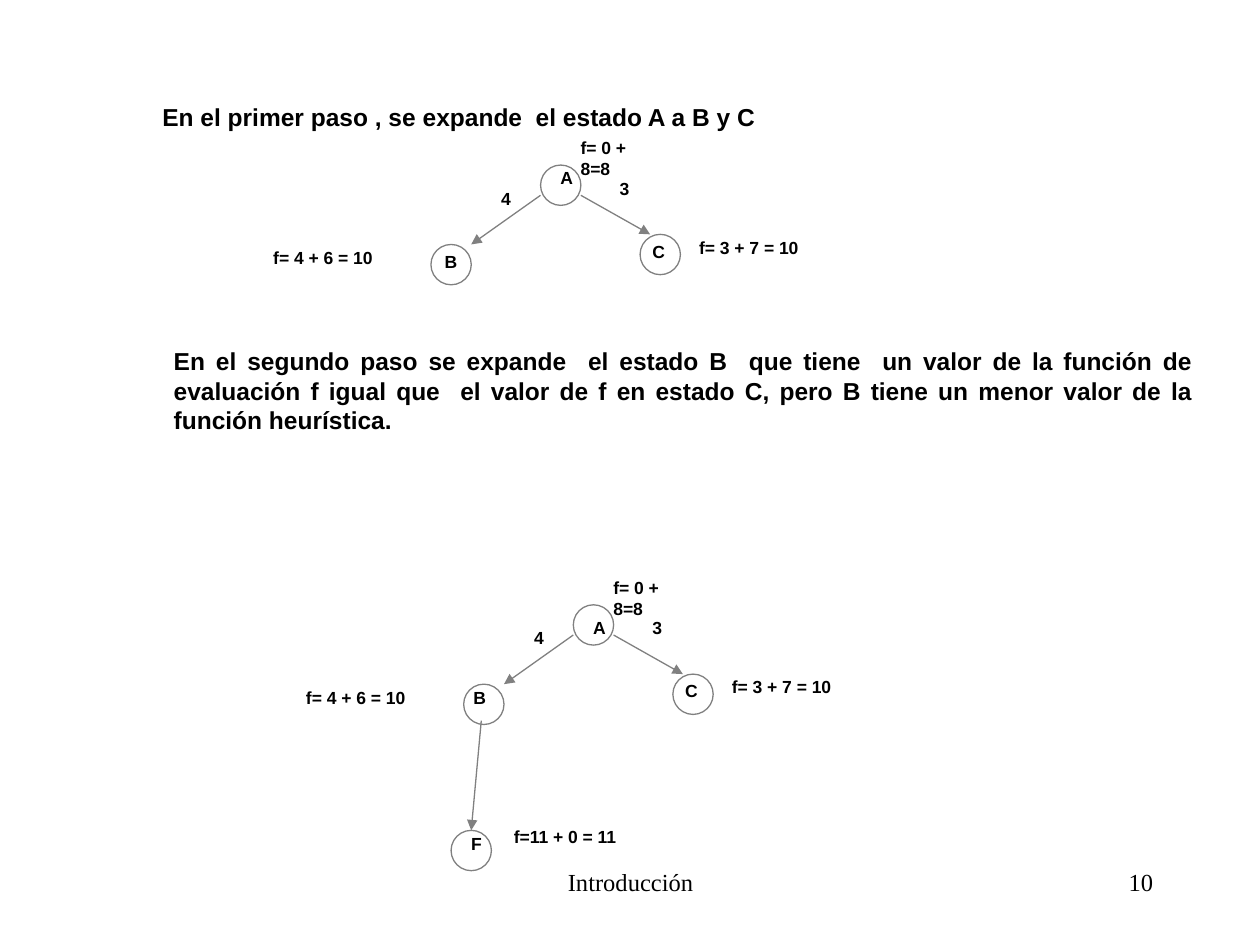
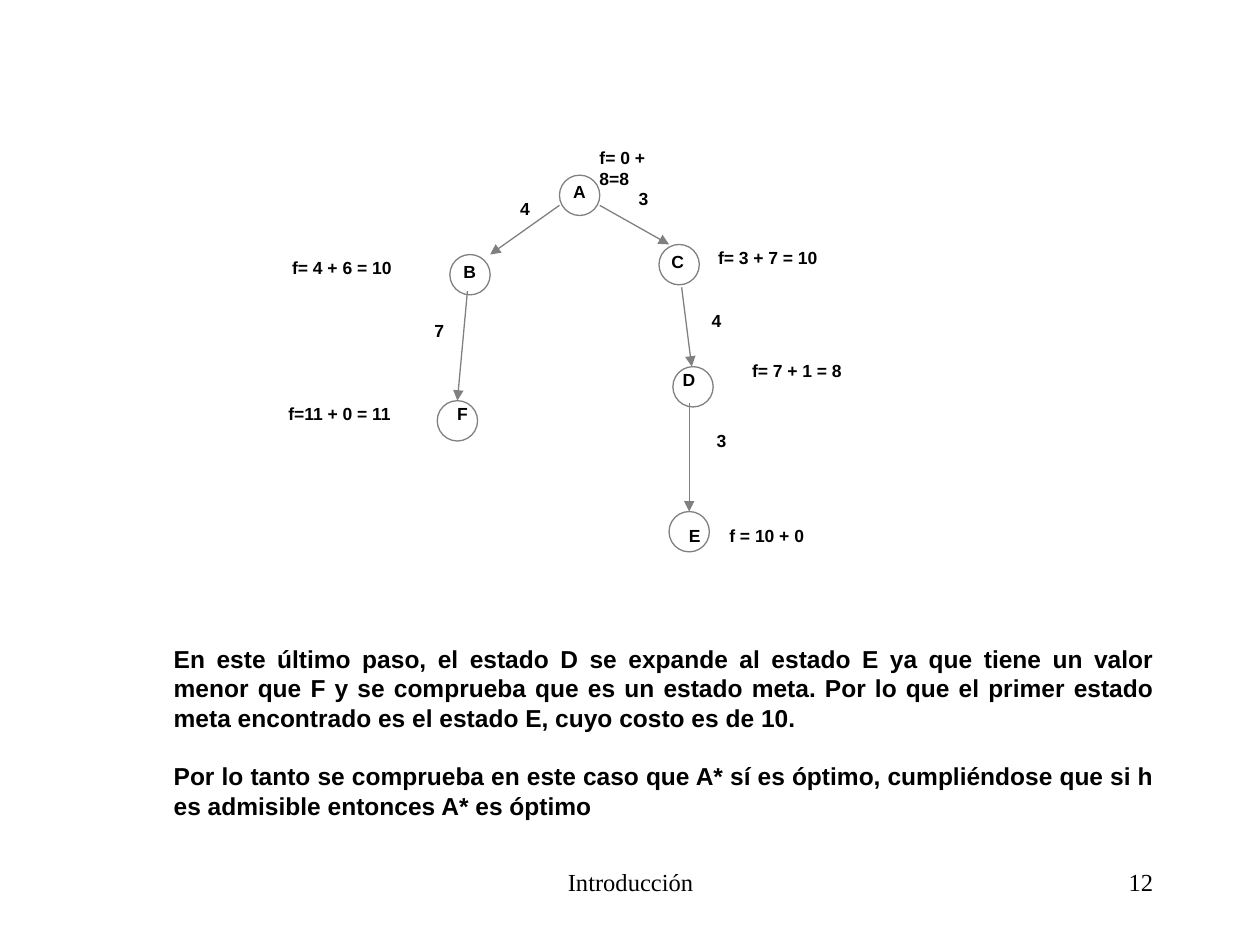
import dataclasses

import pptx
import pptx.dml.color
import pptx.enum.shapes
import pptx.enum.text
import pptx.oxml.ns
import pptx.util
from lxml import etree
from pptx.util import Inches

ALIGN = pptx.enum.text.PP_ALIGN
AUTO_SIZE = pptx.enum.text.MSO_AUTO_SIZE


@dataclasses.dataclass(frozen=True)
class Theme:
    ink: str = "000000"
    outline: str = "808080"
    body_font: str = "Arial"
    footer_font: str = "Times New Roman"
    body_size: float = 14
    label_size: float = 10
    paragraph_gap: float = 16.8
    line_width: float = 0.75
    node_size: float = 0.32


def color(value):
    return pptx.dml.color.RGBColor.from_string(value)


def write_text(frame, text, *, font, size, ink, bold=True, align=ALIGN.LEFT, gap=0):
    """Fill a text frame, one paragraph per line of text."""
    for index, line in enumerate(text.split("\n")):
        para = frame.paragraphs[0] if index == 0 else frame.add_paragraph()
        para.alignment = align
        if index:
            para.space_before = pptx.util.Pt(gap)
        span = para.add_run()
        span.text = line
        span.font.name = font
        span.font.size = pptx.util.Pt(size)
        span.font.bold = bold
        span.font.color.rgb = color(ink)


class SlideBuilder:
    def __init__(self, deck, theme):
        self.deck = deck
        self.theme = theme
        self.slide = None

    def new_slide(self, number):
        self.slide = self.deck.slides.add_slide(self.deck.slide_layouts[6])
        for text, left, width, align in (
            ("Introducción", 3.42, 3.17, ALIGN.CENTER),
            (str(number), 7.17, 2.08, ALIGN.RIGHT),
        ):
            self.text(text, left, 6.83, width, 0.5, grow=False, bold=False,
                      font=self.theme.footer_font, align=align)

    def text(self, text, left, top, width, height, wrap=True, grow=True, **style):
        box = self.slide.shapes.add_textbox(
            Inches(left), Inches(top), Inches(width), Inches(height))
        frame = box.text_frame
        frame.word_wrap = wrap
        frame.auto_size = AUTO_SIZE.SHAPE_TO_FIT_TEXT if grow else AUTO_SIZE.NONE
        defaults = dict(font=self.theme.body_font, size=self.theme.body_size,
                        ink=self.theme.ink, gap=self.theme.paragraph_gap)
        write_text(frame, text, **{**defaults, **style})

    def label(self, text, left, top, width):
        self.text(text, left, top, width, 0.27, wrap=False, size=self.theme.label_size)

    def node(self, letter, left, top, nudge=(0, 0)):
        """State circle; nudge moves its letter from the circle's corner."""
        size = Inches(self.theme.node_size)
        circle = self.slide.shapes.add_shape(
            pptx.enum.shapes.MSO_SHAPE.OVAL, Inches(left), Inches(top), size, size)
        circle.shadow.inherit = False
        circle.fill.background()
        circle.line.color.rgb = color(self.theme.outline)
        circle.line.width = pptx.util.Pt(self.theme.line_width)
        self.label(letter, left + nudge[0], top + nudge[1], 0.3)

    def arrow(self, start, end):
        connector = self.slide.shapes.add_connector(
            pptx.enum.shapes.MSO_CONNECTOR.STRAIGHT,
            *(Inches(value) for value in (*start, *end)))
        connector.line.color.rgb = color(self.theme.outline)
        connector.line.width = pptx.util.Pt(self.theme.line_width)
        qn = pptx.oxml.ns.qn
        etree.SubElement(connector.line._get_or_add_ln(), qn("a:tailEnd"), type="triangle")
        etree.SubElement(connector._element.spPr, qn("a:effectLst"))

    def tree(self, left, top, a_nudge, b_nudge):
        """State A expanded to B and C, placed from the corner of A."""
        self.node("A", left, top, a_nudge)
        self.node("B", left - 0.87, top + 0.63, b_nudge)
        self.node("C", left + 0.79, top + 0.55)
        self.arrow((left, top + 0.24), (left - 0.55, top + 0.63))
        self.arrow((left + 0.32, top + 0.24), (left + 0.87, top + 0.55))
        for text, across, down, width in (
            ("3", 0.53, 0.05, 0.27),
            ("4", -0.41, 0.13, 0.27),
            ("f= 0 + 8=8", 0.22, -0.27, 0.83),
            ("f= 4 + 6 = 10", -2.22, 0.6, 0.99),
            ("f= 3 + 7 = 10", 1.16, 0.52, 0.99),
        ):
            self.label(text, left + across, top + down, width)

    def branch_to_f(self, left, top):
        """State F below B, placed from the corner of A."""
        self.node("F", left - 0.97, top + 1.79, (0.06, -0.03))
        self.arrow((left - 0.73, top + 0.92), (left - 0.81, top + 1.79))


def build_first_steps(page):
    page.new_slide(10)
    # First step
    page.text("En el primer paso , se expande  el estado A a B y C",
              1.19, 0.76, 4.92, 0.34, wrap=False)
    page.tree(4.29, 1.31, a_nudge=(0.06, -0.03), b_nudge=(0.01, 0))
    # Second step
    page.text("En el segundo paso se expande  el estado B  que tiene  un valor de la "
              "función de evaluación f igual que  el valor de f en estado C, pero B "
              "tiene un menor valor de la función heurística.",
              1.28, 2.7, 8.29, 0.8, align=ALIGN.JUSTIFY)
    page.tree(4.55, 4.8, a_nudge=(0.06, 0.05), b_nudge=(-0.02, -0.03))
    page.branch_to_f(4.55, 4.8)
    page.label("f=11 + 0 = 11", 3.98, 6.51, 1.02)


def build_last_step(page):
    page.new_slide(12)
    # Tree down to F
    page.tree(4.44, 1.39, a_nudge=(0.01, 0), b_nudge=(0.01, 0))
    page.branch_to_f(4.44, 1.39)
    page.label("7", 3.35, 2.49, 0.27)
    page.label("f=11 + 0 = 11", 2.19, 3.15, 1.02)
    # C to D
    page.node("D", 5.34, 2.91, (-0.02, -0.03))
    page.arrow((5.41, 2.28), (5.49, 2.91))
    page.label("4", 5.55, 2.41, 0.27)
    page.label("f= 7 + 1 = 8", 5.87, 2.81, 0.91)
    # D to the goal E
    page.node("E", 5.31, 4.06, (0.06, 0.06))
    page.arrow((5.47, 3.2), (5.47, 4.06))
    page.label("3", 5.59, 3.36, 0.27)
    page.label("f = 10 + 0", 5.69, 4.12, 0.79)
    # Conclusion
    page.text("En este último paso, el estado D se expande al estado E ya que tiene un "
              "valor menor que F y se comprueba que es un estado meta. Por lo que el "
              "primer estado meta encontrado es el estado E, cuyo costo es de 10.\n"
              "Por lo tanto se comprueba en este caso que A* sí es óptimo, "
              "cumpliéndose que si h es admisible entonces A* es óptimo",
              1.28, 5.06, 7.98, 1.5, align=ALIGN.JUSTIFY)


def main():
    deck = pptx.Presentation()
    deck.slide_width, deck.slide_height = Inches(10), Inches(7.5)
    page = SlideBuilder(deck, Theme())
    build_first_steps(page)
    build_last_step(page)
    deck.save("out.pptx")


if __name__ == "__main__":
    main()
